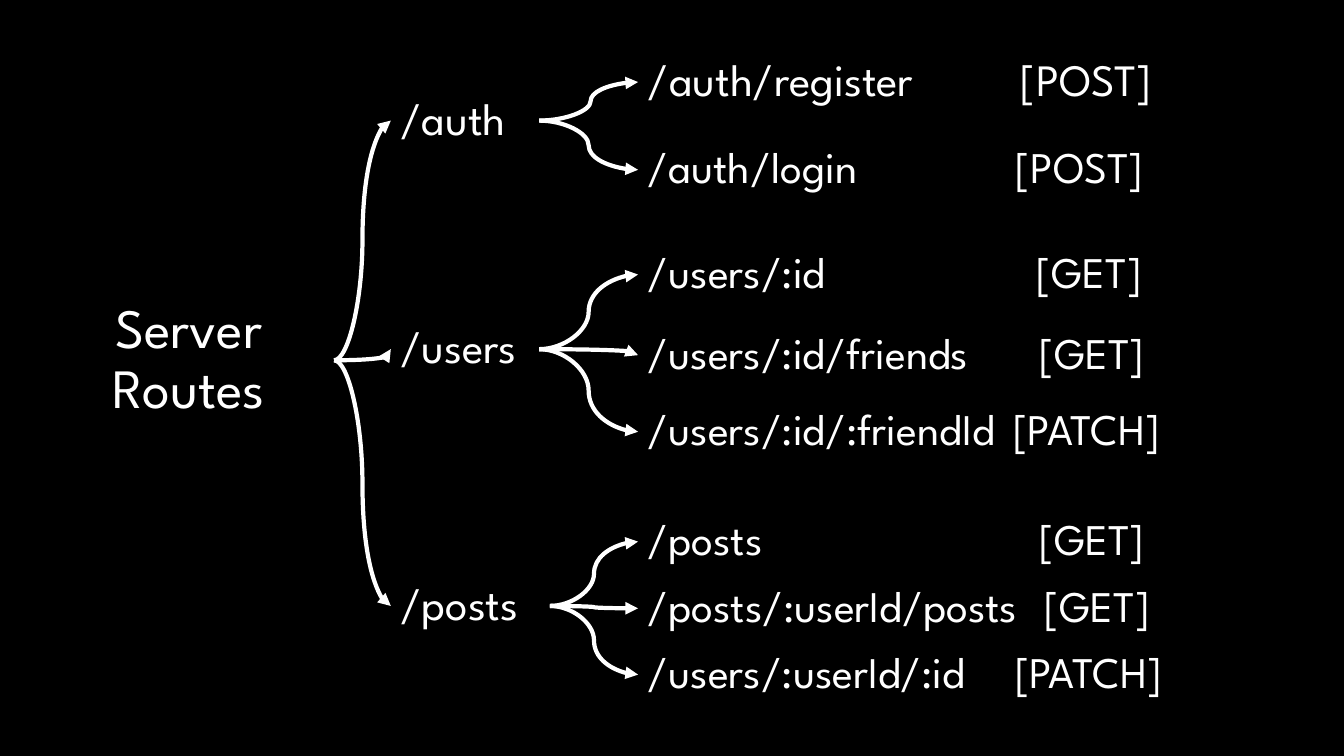
"""Build a slide that maps server routes to their endpoints."""
from collections import namedtuple
from dataclasses import dataclass

from lxml.etree import SubElement
from pptx import Presentation
from pptx.dml.color import RGBColor
from pptx.enum.shapes import MSO_CONNECTOR
from pptx.enum.text import MSO_ANCHOR, PP_ALIGN
from pptx.oxml.ns import qn
from pptx.util import Cm, Pt


@dataclass(frozen=True)
class Theme:
    """Colours, font and sizes of the slide."""
    background: RGBColor = RGBColor(0, 0, 0)
    foreground: RGBColor = RGBColor(255, 255, 255)
    font: str = "League Spartan"
    title_size: float = 39.6
    route_size: float = 32
    endpoint_size: float = 31.2
    line_width: float = 3


THEME = Theme()
LEFT_SIDE, RIGHT_SIDE = 1, 3
ROUTE_LEFT, ENDPOINT_LEFT = 9.85, 16.08
ROUTE_HEIGHT, ENDPOINT_HEIGHT = 1.45, 2.46

Route = namedtuple("Route", "text middle width bend endpoints")
Endpoint = namedtuple("Endpoint", "text method middle width tab size bend",
                      defaults=(THEME.endpoint_size, 0.5))

ROUTES = [
    Route("/auth", 3.04, 3.74, 0.5, [
        Endpoint("/auth/register", "[POST]", 2.07, 16.43, 9.4, THEME.route_size, 0.52),
        Endpoint("/auth/login", "[POST]", 4.28, 15.7, 9.27),
    ]),
    Route("/users", 8.8, 3.74, 1.02, [
        Endpoint("/users/:id", "[GET]", 6.92, 15.06, 9.8),
        Endpoint("/users/:id/friends", "[GET]", 8.95, 14.6, 9.86, bend=0.97),
        Endpoint("/users/:id/:friendId", "[PATCH]", 10.88, 15.95, 9.2),
    ]),
    Route("/posts", 15.27, 4.01, 0.5, [
        Endpoint("/posts", "[GET]", 13.65, 14.7, 9.86),
        Endpoint("/posts/:userId/posts", "[GET]", 15.33, 15.06, 10),
        Endpoint("/users/:userId/:id", "[PATCH]", 17, 15.06, 9.25),
    ]),
]


def add_text(slide, text, *, left, middle, width, height, size,
             align=PP_ALIGN.LEFT, tab=None):
    """Add a text box centred vertically on middle, with an optional tab stop."""
    shape = slide.shapes.add_textbox(Cm(left), Cm(middle - height / 2), Cm(width), Cm(height))
    frame = shape.text_frame
    frame.word_wrap = True
    frame.vertical_anchor = MSO_ANCHOR.MIDDLE
    paragraph = frame.paragraphs[0]
    paragraph.text = text
    if tab:
        tabs = SubElement(paragraph._p.get_or_add_pPr(), qn("a:tabLst"))
        SubElement(tabs, qn("a:tab"), pos=str(Cm(tab)), algn="l")
    paragraph.alignment = align
    paragraph.line_spacing = 0.9
    for run in paragraph.runs:
        run.font.name = THEME.font
        run.font.size = Pt(size)
        run.font.color.rgb = THEME.foreground
    return shape


def add_branch(slide, start, end, bend):
    """Join two boxes with a curved arrow that turns at the bend fraction."""
    connector = slide.shapes.add_connector(MSO_CONNECTOR.CURVE, 0, 0, 0, 0)
    connector.begin_connect(start, RIGHT_SIDE)
    connector.end_connect(end, LEFT_SIDE)
    connector.line.color.rgb = THEME.foreground
    connector.line.width = Pt(THEME.line_width)
    SubElement(connector.line._get_or_add_ln(), qn("a:tailEnd"), type="triangle")
    properties = connector._element.spPr
    SubElement(properties, qn("a:effectLst"))
    adjustments = properties.find(qn("a:prstGeom")).find(qn("a:avLst"))
    SubElement(adjustments, qn("a:gd"), name="adj1", fmla=f"val {round(bend * 100000)}")


def add_route(slide, root, route):
    """Add a route, its endpoints and the arrows that lead to them."""
    route_box = add_text(slide, route.text, left=ROUTE_LEFT, middle=route.middle,
                         width=route.width, height=ROUTE_HEIGHT, size=THEME.route_size)
    add_branch(slide, root, route_box, route.bend)
    for endpoint in route.endpoints:
        endpoint_box = add_text(slide, f"{endpoint.text}\t{endpoint.method}",
                                left=ENDPOINT_LEFT, middle=endpoint.middle,
                                width=endpoint.width, height=ENDPOINT_HEIGHT,
                                size=endpoint.size, tab=endpoint.tab)
        add_branch(slide, route_box, endpoint_box, endpoint.bend)


def main():
    """Build and save the presentation."""
    presentation = Presentation()
    presentation.slide_width, presentation.slide_height = Cm(33.87), Cm(19.05)
    slide = presentation.slides.add_slide(presentation.slide_layouts[6])
    slide.background.fill.solid()
    slide.background.fill.fore_color.rgb = THEME.background
    root = add_text(slide, "Server\vRoutes", left=1.1, middle=9.08, width=7.32, height=2.11,
                    size=THEME.title_size, align=PP_ALIGN.CENTER)
    for route in ROUTES:
        add_route(slide, root, route)
    presentation.save("out.pptx")


if __name__ == "__main__":
    main()
